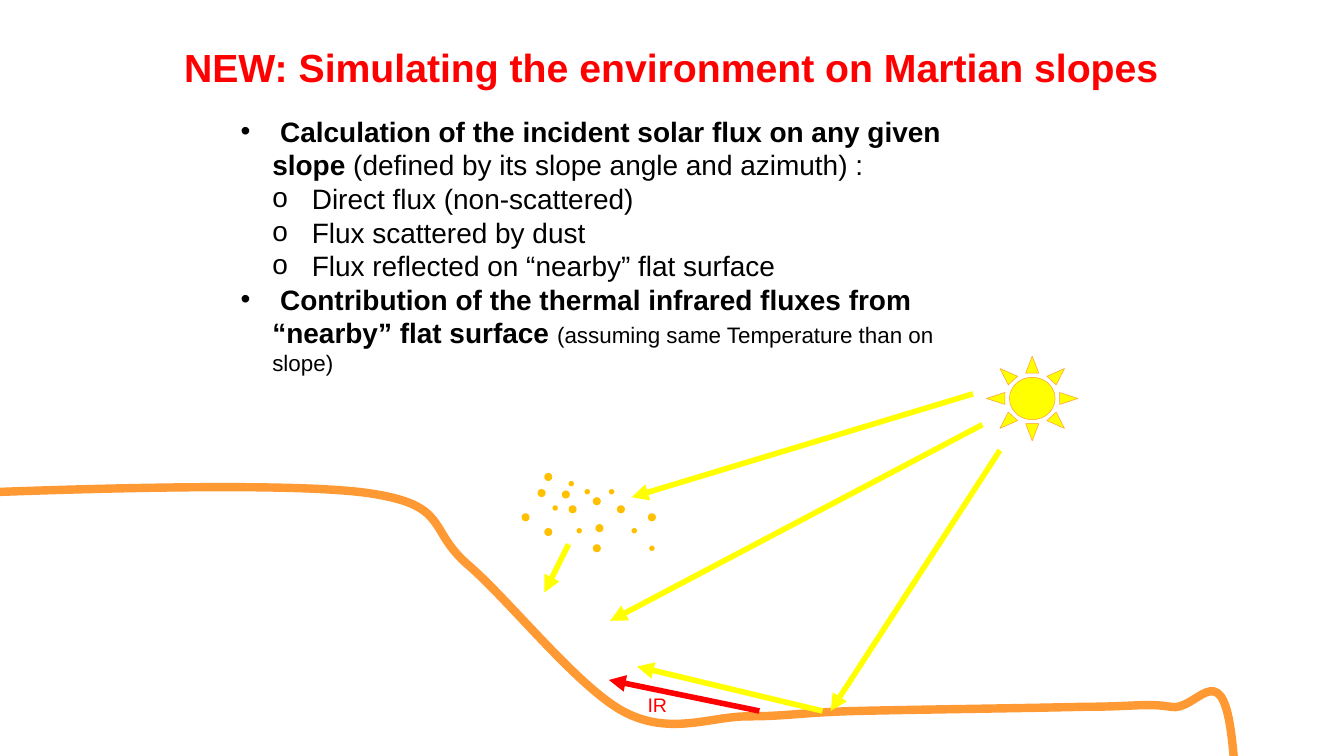
from lxml.etree import SubElement
from pptx import Presentation
from pptx.dml.color import RGBColor
from pptx.enum.shapes import MSO_CONNECTOR, MSO_SHAPE
from pptx.enum.text import MSO_ANCHOR, MSO_AUTO_SIZE, PP_ALIGN
from pptx.oxml.ns import qn
from pptx.util import Pt

FONT = "Arial"
BLACK, RED, YELLOW, ORANGE, DUST = "000000", "FF0000", "FFFF00", "FF9933", "FFC000"

# Each ground segment: two control points and an end point.
GROUND_START = (662.4, 630.7)
GROUND_CURVES = [
    ((663.8, 532.1), (665.3, 434.2), (659.5, 392.4)),
    ((653.8, 350.6), (640.8, 381.6), (627.1, 378.7)),
    ((614.2, 376.6), (607.7, 378.7), (580.3, 378.7)),
    ((552.2, 379.4), (490.3, 380.2), (460.1, 380.9)),
    ((430.6, 381.6), (421.9, 383.8), (401, 383.8)),
    ((380.2, 383.8), (358.6, 394.6), (333.4, 380.9)),
    ((308.9, 367.2), (273.6, 322.6), (251.3, 303.1)),
    ((228.2, 283.7), (241.9, 270.7), (197.3, 264.2)),
    ((151.9, 257.8), (20.2, 262.8), (-17.3, 264.2)),
    ((-54.7, 265.7), (-29.5, 206.6), (-27.4, 274.3)),
    ((-25.2, 342.7), (-121.7, 611.3), (-5.8, 672.5)),
    ((110.2, 734.4), (388.8, 689), (667.4, 643.7)),
]
GRAINS = {
    4.3: [(12.2, 0), (21.6, 9.4), (25.2, 17.3), (38.2, 13), (51.1, 17.3),
          (39.6, 27.4), (67.7, 21.6), (38.2, 38.2), (0, 21.6), (12.2, 29.5),
          (8.6, 8.6)],
    2.9: [(25.2, 4.3), (33.8, 8.6), (29.5, 29.5), (59, 29.5), (68.4, 38.9),
          (16.6, 17.3), (38.9, 38.9), (46.8, 8.6)],
}
SUN_RAYS = [
    ((535.7, 241.2), (445, 380.9)),
    ((526.3, 227.5), (326.9, 332.6)),
    ((440.6, 380.9), (341.3, 357.1)),
]
DUST_RAYS = [
    ((521.3, 211), (338.4, 266.4)),
    ((304.6, 291.6), (291.6, 317.5)),
]
INFRARED_RAY = ((406.8, 380.9), (326.2, 364.3))
FLUXES = [
    (0, [(" ", 15, False),
         ("Calculation of the incident solar flux on any given slope ", 15, True),
         ("(defined by its slope angle and azimuth) :", 15, False)]),
    (1, [(" Direct flux (non-scattered)", 15, False)]),
    (1, [(" Flux scattered by dust", 15, False)]),
    (1, [(" Flux reflected on “nearby” flat surface", 15, False)]),
    (0, [(" Contribution of the thermal infrared fluxes from “nearby” flat surface ",
          15, True),
         ("(assuming same Temperature than on slope)", 12, False)]),
]


def color(hex_value):
    return RGBColor.from_string(hex_value)


def paint(shape, fill, line=None, width=0):
    shape.shadow.inherit = False
    shape.fill.solid()
    shape.fill.fore_color.rgb = color(fill)
    if line:
        shape.line.color.rgb = color(line)
        shape.line.width = Pt(width)
    else:
        shape.line.fill.background()


def place(shape, box):
    shape.left, shape.top, shape.width, shape.height = [Pt(v) for v in box]


def add_run(paragraph, text, size, bold, ink):
    run = paragraph.add_run()
    run.text = text
    run.font.name, run.font.size, run.font.bold = FONT, Pt(size), bold
    run.font.color.rgb = color(ink)


def bend_lines(freeform):
    """Turn every three straight segments into one cubic curve."""
    outline = freeform._element.find(".//" + qn("a:path"))
    segments = outline.findall(qn("a:lnTo"))
    for index, segment in enumerate(segments):
        if index % 3 == 0:
            curve = SubElement(outline, qn("a:cubicBezTo"))
        curve.append(segment[0])
        outline.remove(segment)


def add_ground(slide, left, top):
    builder = slide.shapes.build_freeform(
        Pt(left + GROUND_START[0]), Pt(top + GROUND_START[1]), scale=1.0)
    builder.add_line_segments(
        [(Pt(left + x), Pt(top + y)) for curve in GROUND_CURVES for x, y in curve],
        close=False)
    ground = builder.convert_to_shape()
    bend_lines(ground)
    paint(ground, "FFFFFF", ORANGE, 4.5)


def add_sun(slide, box):
    sun = slide.shapes.add_shape(MSO_SHAPE.SUN, *[Pt(v) for v in box])
    sun.adjustments[0] = 0.25
    paint(sun, YELLOW, ORANGE, 0.25)


def add_dust_cloud(slide, left, top):
    for size, spots in GRAINS.items():
        for x, y in spots:
            grain = slide.shapes.add_shape(
                MSO_SHAPE.OVAL, Pt(left + x), Pt(top + y), Pt(size), Pt(size))
            paint(grain, DUST)


def add_ray(slide, ends, ink):
    (x1, y1), (x2, y2) = ends
    ray = slide.shapes.add_connector(
        MSO_CONNECTOR.STRAIGHT, Pt(x1), Pt(y1), Pt(x2), Pt(y2))
    ray.line.color.rgb = color(ink)
    ray.line.width = Pt(3)
    properties = ray._element.spPr
    SubElement(properties.find(qn("a:ln")), qn("a:tailEnd"), type="triangle")
    SubElement(properties, qn("a:effectLst"))


def add_infrared_label(slide, box):
    label = slide.shapes.add_textbox(*[Pt(v) for v in box])
    label.text_frame.word_wrap = False
    add_run(label.text_frame.paragraphs[0], "IR", 10.5, False, RED)


def fill_title(title, box):
    place(title, box)
    frame = title.text_frame
    frame.word_wrap = False
    frame.auto_size = MSO_AUTO_SIZE.NONE
    frame.vertical_anchor = MSO_ANCHOR.MIDDLE
    frame.paragraphs[0].alignment = PP_ALIGN.LEFT
    add_run(frame.paragraphs[0],
            "NEW: Simulating the environment on Martian slopes", 21, True, RED)


def add_bullet(paragraph, level, hang=17):
    properties = paragraph._p.get_or_add_pPr()
    properties.set("marL", str(Pt(hang * (level + 1))))
    properties.set("indent", str(-Pt(hang)))
    bullet_color = SubElement(properties, qn("a:buClr"))
    SubElement(bullet_color, qn("a:srgbClr"), val=BLACK)
    SubElement(properties, qn("a:buFont"), typeface=FONT)
    SubElement(properties, qn("a:buChar"), char="•o"[level])


def fill_flux_list(body, box):
    place(body, box)
    frame = body.text_frame
    frame.word_wrap = True
    frame.auto_size = MSO_AUTO_SIZE.NONE
    frame.vertical_anchor = MSO_ANCHOR.TOP
    for index, (level, runs) in enumerate(FLUXES):
        paragraph = frame.add_paragraph() if index else frame.paragraphs[0]
        paragraph.level = level
        paragraph.line_spacing = 1.0
        paragraph.space_before = Pt(0)
        add_bullet(paragraph, level)
        for text, size, bold in runs:
            add_run(paragraph, text, size, bold, BLACK)


def build_slope_slide(deck):
    slide = deck.slides.add_slide(deck.slide_layouts[1])
    add_ground(slide, 0, 0)
    add_sun(slide, (528.5, 190.8, 49, 45.4))
    for ray in SUN_RAYS:
        add_ray(slide, ray, YELLOW)
    add_ray(slide, INFRARED_RAY, RED)
    add_infrared_label(slide, (339.8, 367.9, 25.2, 20.2))
    add_dust_cloud(slide, 279.4, 253.4)
    for ray in DUST_RAYS:
        add_ray(slide, ray, YELLOW)
    fill_title(slide.shapes.title, (91.4, 19.4, 542.9, 32.4))
    fill_flux_list(slide.placeholders[1], (121.7, 57.6, 403.9, 149))


def main():
    deck = Presentation()
    deck.slide_width, deck.slide_height = Pt(720), Pt(405)
    build_slope_slide(deck)
    deck.save("out.pptx")


if __name__ == "__main__":
    main()
